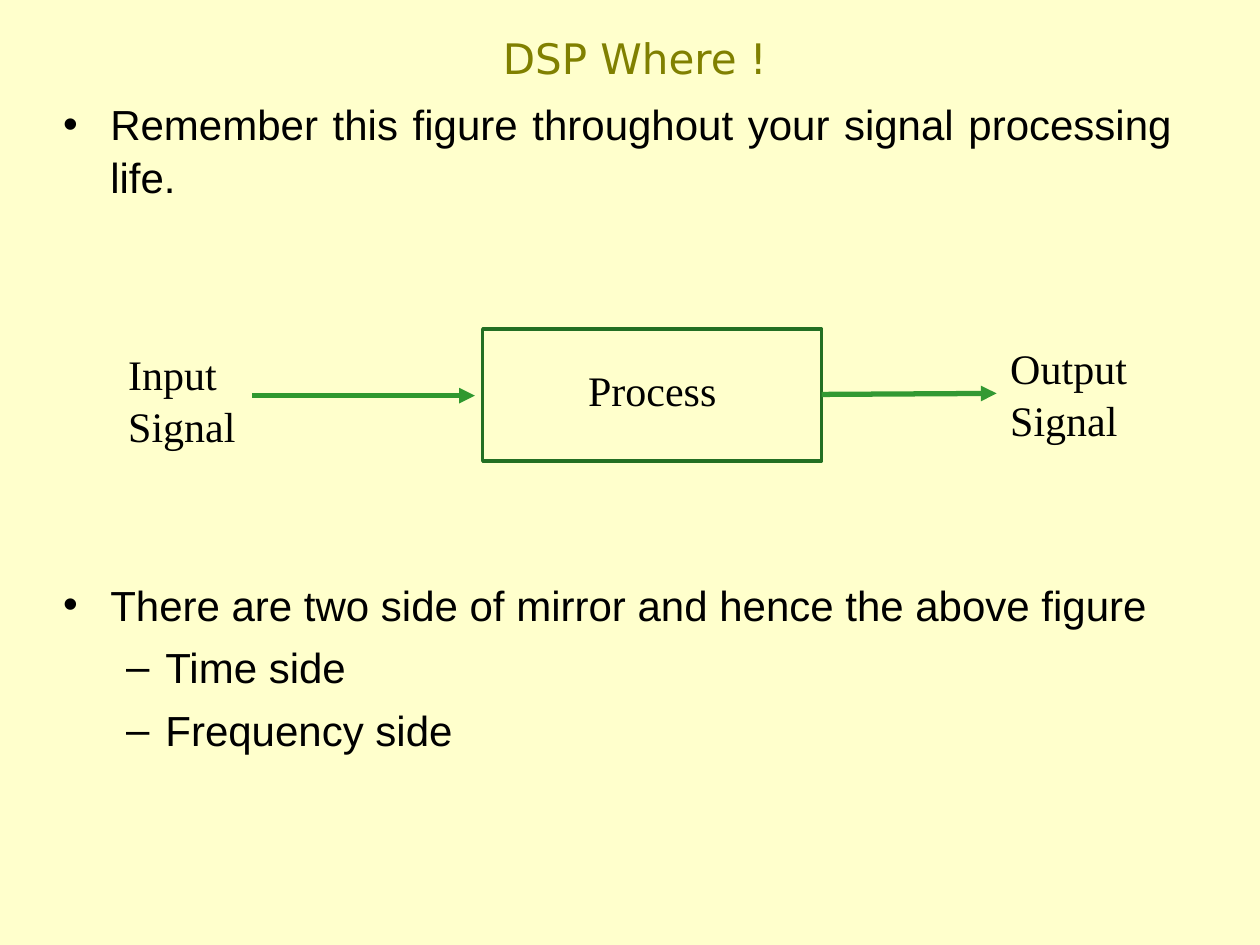
from lxml import etree
from pptx import Presentation
from pptx.dml.color import RGBColor
from pptx.enum.shapes import MSO_CONNECTOR, MSO_SHAPE
from pptx.enum.text import MSO_ANCHOR, MSO_AUTO_SIZE, PP_ALIGN
from pptx.oxml.ns import qn
from pptx.util import Pt

CENTER, JUSTIFY, LEFT = PP_ALIGN.CENTER, PP_ALIGN.JUSTIFY, PP_ALIGN.LEFT
MIDDLE, TOP = MSO_ANCHOR.MIDDLE, MSO_ANCHOR.TOP
NO_FIT = MSO_AUTO_SIZE.NONE
STRAIGHT, RECTANGLE = MSO_CONNECTOR.STRAIGHT, MSO_SHAPE.RECTANGLE

# Content: lengths in points
TITLE = "DSP Where !"
FIGURE_GAP = 214.5  # room for the diagram between the two bullets
BULLETS = [  # text, level, space before
    ("Remember this figure throughout your signal processing life.", 0, 6),
    ("There are two side of mirror and hence the above figure", 0, FIGURE_GAP),
    ("Time side", 1, 6),
    ("Frequency side", 1, 6),
]
LEVELS = [("•", 27, -27), ("–", 58.5, -22.5)]  # mark, margin, indent
PROCESS_FRAME = (275.8, 188, 193.7, 75.5)
LABELS = [  # text, frame, wraps
    ("Process", (329, 203.8, 87.8, 36), False),
    ("Input Signal", (66.2, 194.4, 85.7, 64.8), True),
    ("Output Signal", (570.2, 190.8, 85.7, 64.8), True),
]
ARROWS = [  # start, end, colour
    ((144, 226.1), (271.4, 226.1), "2F982F"),
    ((469.5, 225.4), (569.5, 224.8), "339933"),
]


def color(hex_text):
    return RGBColor.from_string(hex_text)


def points(values):
    return [Pt(value) for value in values]


def place(box, frame):
    box.left, box.top, box.width, box.height = points(frame)


def write(para, text, font="Arial", fill="000000", align=LEFT, before=0, spacing=1.0):
    para.alignment = align
    para.space_before = Pt(before)
    para.line_spacing = spacing
    span = para.add_run()
    span.text = text
    span.font.name = font
    span.font.size = Pt(24)
    span.font.color.rgb = color(fill)


def set_bullet(para, level):
    mark, margin, indent = LEVELS[level]
    para.level = level
    props = para._p.get_or_add_pPr()
    props.set("marL", str(Pt(margin)))
    props.set("indent", str(Pt(indent)))
    etree.SubElement(props, qn("a:buChar")).set("char", mark)


def add_arrow(page, start, end, stroke):
    arrow = page.shapes.add_connector(STRAIGHT, *points(start + end))
    arrow.line.color.rgb = color(stroke)
    arrow.line.width = Pt(3)
    etree.SubElement(arrow.line._get_or_add_ln(), qn("a:tailEnd")).set("type", "triangle")
    etree.SubElement(arrow._element.spPr, qn("a:effectLst"))


def main():
    deck = Presentation()
    deck.slide_width, deck.slide_height = Pt(720), Pt(540)
    page = deck.slides.add_slide(deck.slide_layouts[1])
    page.background.fill.solid()
    page.background.fill.fore_color.rgb = color("FFFFCC")

    # Title and bullets
    title, body = page.placeholders
    for box, frame, anchor in [
        (title, (23.8, 18, 678, 30), MIDDLE),
        (body, (28.8, 51.8, 648, 432.7), TOP),
    ]:
        place(box, frame)
        box.text_frame.auto_size = NO_FIT
        box.text_frame.vertical_anchor = anchor
    write(title.text_frame.paragraphs[0], TITLE, font="DejaVu Sans",
          fill="808000", align=CENTER)
    for index, (text, level, before) in enumerate(BULLETS):
        frame = body.text_frame
        para = frame.add_paragraph() if index else frame.paragraphs[0]
        write(para, text, align=JUSTIFY, before=before, spacing=1.04)
        set_bullet(para, level)

    # Process box and arrows
    process = page.shapes.add_shape(RECTANGLE, *points(PROCESS_FRAME))
    process.shadow.inherit = False
    process.fill.background()
    process.line.color.rgb = color("236F23")
    process.line.width = Pt(2)
    for start, end, stroke in ARROWS:
        add_arrow(page, start, end, stroke)

    # Diagram labels
    for text, frame, wraps in LABELS:
        label = page.shapes.add_textbox(*points(frame))
        label.text_frame.word_wrap = wraps
        write(label.text_frame.paragraphs[0], text, font="Times New Roman", spacing=1.04)

    deck.save("out.pptx")


if __name__ == "__main__":
    main()
